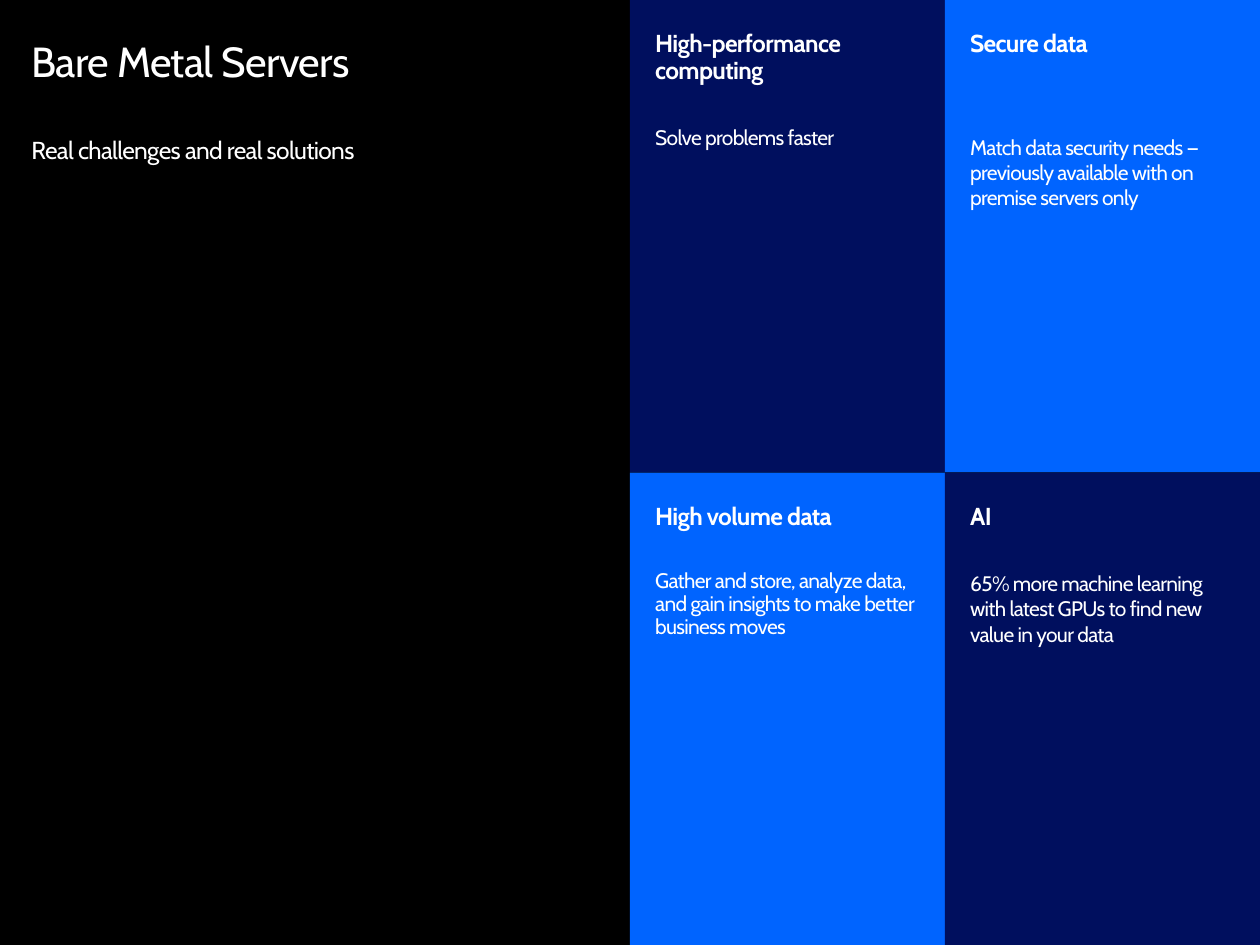
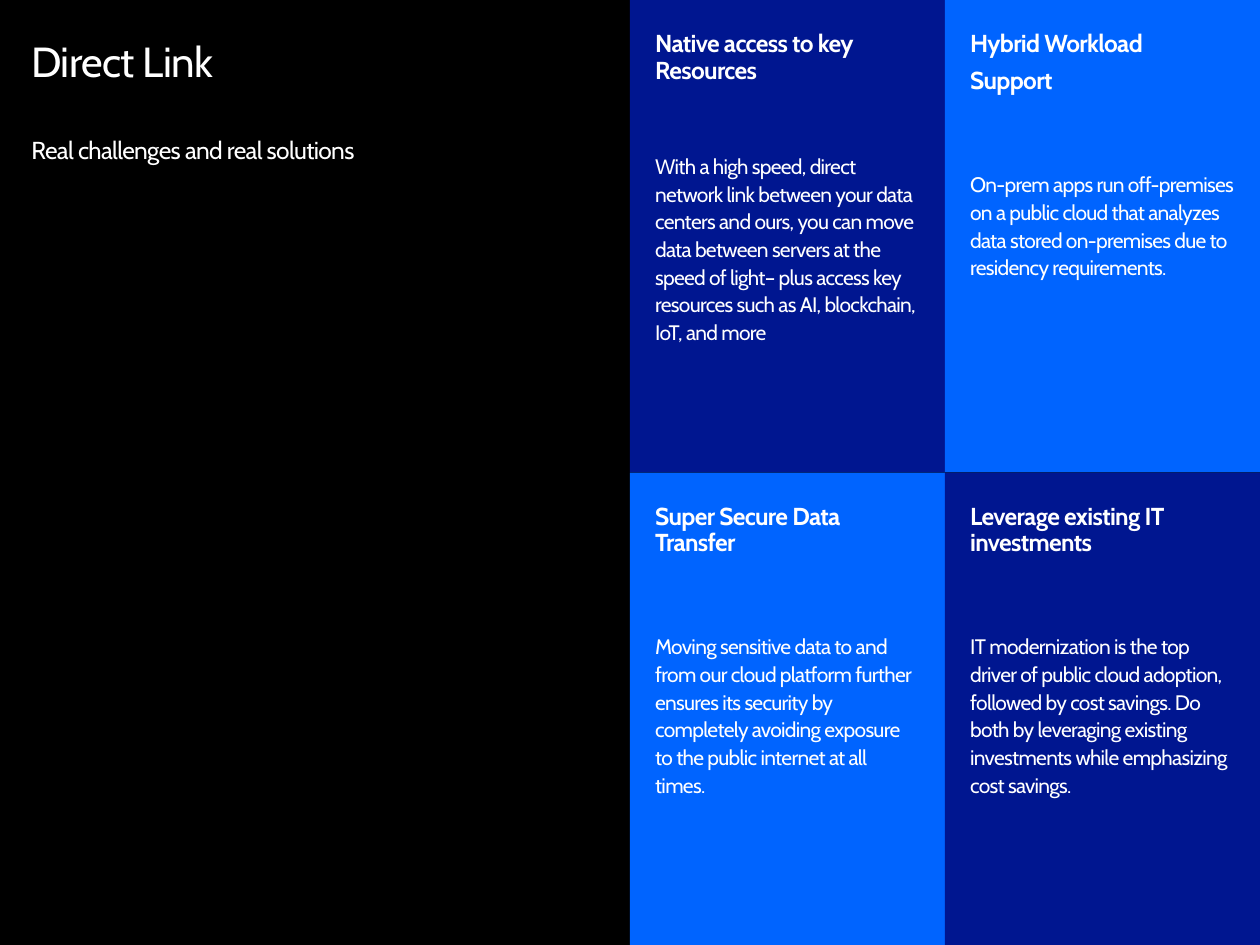
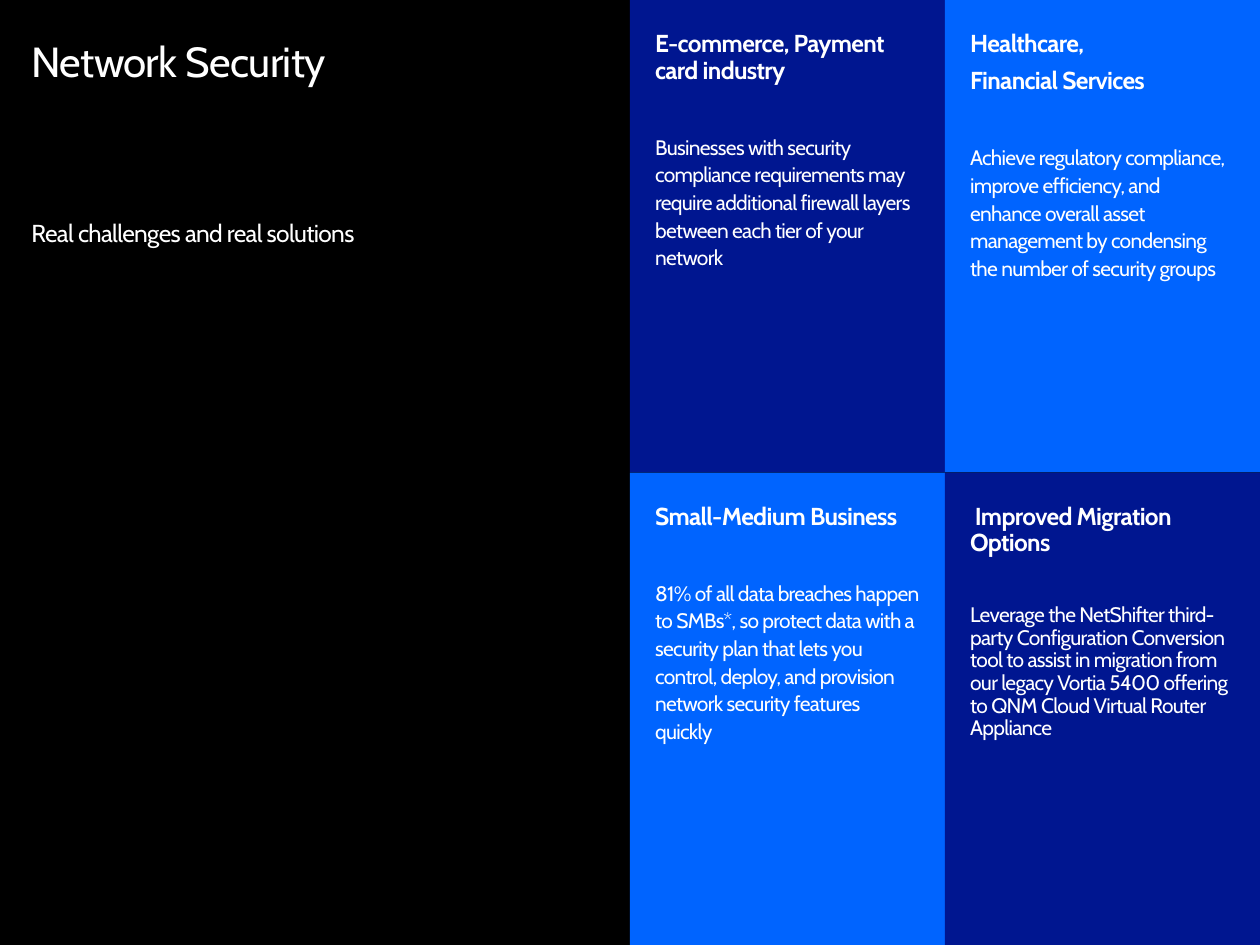
from dataclasses import dataclass

from pptx import Presentation
from pptx.dml.color import RGBColor
from pptx.enum import shapes, text
from pptx.util import Pt


@dataclass(frozen=True)
class Theme:
    font: str = "Cabin"
    background: str = "000000"
    ink: str = "FFFFFF"
    bright: str = "0064FF"
    midnight: str = "000F5E"
    navy: str = "001690"
    title_size: float = 24
    heading_size: float = 14
    body_size: float = 12
    tracking: str = "-40"
    tight: float = 0.9
    loose: float = 1.1
    space_before: float = 6


THEME = Theme()
SLIDE_W, SLIDE_H = 720, 540
PANEL_W, PANEL_H = SLIDE_W / 4, SLIDE_H / 2
PANEL_PADDING = (14.4, 18, 14.4, 18)
LEFT_MARGIN, LEFT_WIDTH = 18, 324
TITLE_TOP = 23.76
SUBTITLE = "Real challenges and real solutions"


@dataclass(frozen=True)
class Panel:
    headings: tuple
    body: str
    gap: float  # points between the heading and the body
    line_spacing: float = THEME.loose


@dataclass(frozen=True)
class Topic:
    title: str
    dark: str
    subtitle_top: float
    panels: tuple  # row by row


TOPICS = (
    Topic("Bare Metal Servers", THEME.midnight, 79.2, (
        Panel(("High-performance computing",), "Solve problems faster", 23, 1),
        Panel(("Secure data",),
              "Match data security needs — previously available with on "
              "premise servers only", 43.5, 1),
        Panel(("High volume data",),
              "Gather and store, analyze data, and gain insights to make "
              "better business moves", 23, THEME.tight),
        Panel(("AI",),
              "65% more machine learning with latest GPUs to find new value "
              "in your data", 23, 1),
    )),
    Topic("Direct Link", THEME.navy, 79.2, (
        Panel(("Native access to key Resources",),
              "With a high speed, direct network link between your data "
              "centers and ours, you can move data between servers at the "
              "speed of light– plus access key resources such as AI, "
              "blockchain, IoT, and more", 38),
        Panel(("Hybrid Workload", "Support"),
              "On-prem apps run off-premises on a public cloud that analyzes "
              "data stored on-premises due to residency requirements.", 42.5),
        Panel(("Super Secure Data Transfer",),
              "Moving sensitive data to and from our cloud platform further "
              "ensures its security by completely avoiding exposure to the "
              "public internet at all times.", 42.5),
        Panel(("Leverage existing IT investments",),
              "IT modernization is the top driver of public cloud adoption, "
              "followed by cost savings. Do both by leveraging existing "
              "investments while emphasizing cost savings.", 42.5),
    )),
    Topic("Network Security", THEME.navy, 126.72, (
        Panel(("E-commerce, Payment card industry",),
              "Businesses with security compliance requirements may require "
              "additional firewall layers between each tier of your network",
              27),
        Panel(("Healthcare,", "Financial Services"),
              "Achieve regulatory compliance, improve efficiency, and enhance "
              "overall asset management by condensing the number of security "
              "groups", 27),
        Panel(("Small-Medium Business",),
              "81% of all data breaches happen to SMBs*, so protect data with "
              "a security plan that lets you control, deploy, and provision "
              "network security features quickly", 27),
        Panel((" Improved Migration Options",),
              "Leverage the NetShifter third-party Configuration Conversion "
              "tool to assist in migration from our legacy Vortia 5400 "
              "offering to QNM Cloud Virtual Router Appliance",
              27, THEME.tight),
    )),
)


def set_attributes(obj, values):
    for name, value in values.items():
        setattr(obj, name, value)


def paint(fill, color):
    fill.solid()
    fill.fore_color.rgb = RGBColor.from_string(color)


def prepare_frame(tf, padding):
    left, top, right, bottom = map(Pt, padding)
    set_attributes(tf, {
        "word_wrap": True, "vertical_anchor": text.MSO_ANCHOR.TOP,
        "margin_left": left, "margin_top": top,
        "margin_right": right, "margin_bottom": bottom,
    })


def format_paragraph(p, words, size, bold=False, line_spacing=THEME.tight,
                     space_before=THEME.space_before):
    set_attributes(p, {
        "alignment": text.PP_ALIGN.LEFT, "line_spacing": float(line_spacing),
        "space_before": Pt(space_before), "space_after": Pt(0),
    })
    r = p.add_run()
    r.text = words
    set_attributes(r.font, {"name": THEME.font, "size": Pt(size), "bold": bold})
    r.font.color.rgb = RGBColor.from_string(THEME.ink)
    r._r.get_or_add_rPr().set("spc", THEME.tracking)


def add_label(slide, words, top, height, size, space_before):
    sp = slide.shapes.add_textbox(
        Pt(LEFT_MARGIN), Pt(top), Pt(LEFT_WIDTH), Pt(height))
    tf = sp.text_frame
    prepare_frame(tf, (0, 0, 0, 0))
    format_paragraph(tf.paragraphs[0], words, size, space_before=space_before)


def add_panel(slide, panel, row, column, color):
    sp = slide.shapes.add_shape(
        shapes.MSO_SHAPE.RECTANGLE, Pt(SLIDE_W / 2 + column * PANEL_W),
        Pt(row * PANEL_H), Pt(PANEL_W), Pt(PANEL_H))
    sp.shadow.inherit = False
    paint(sp.fill, color)
    sp.line.fill.background()
    tf = sp.text_frame
    prepare_frame(tf, PANEL_PADDING)
    for i, heading in enumerate(panel.headings):
        p = tf.add_paragraph() if i else tf.paragraphs[0]
        format_paragraph(p, heading, THEME.heading_size, bold=True)
    format_paragraph(tf.add_paragraph(), panel.body, THEME.body_size,
                     line_spacing=panel.line_spacing, space_before=panel.gap)


def add_topic(prs, topic):
    slide = prs.slides.add_slide(prs.slide_layouts[6])
    paint(slide.background.fill, THEME.background)
    add_label(slide, topic.title, TITLE_TOP, 40, THEME.title_size, 0)
    for i, panel in enumerate(topic.panels):
        row, column = divmod(i, 2)
        color = THEME.bright if (row + column) % 2 else topic.dark
        add_panel(slide, panel, row, column, color)
    add_label(slide, SUBTITLE, topic.subtitle_top, 28.8, THEME.heading_size,
              THEME.space_before)


def main():
    prs = Presentation()
    prs.slide_width, prs.slide_height = Pt(SLIDE_W), Pt(SLIDE_H)
    for topic in TOPICS:
        add_topic(prs, topic)
    prs.save("out.pptx")


if __name__ == "__main__":
    main()
